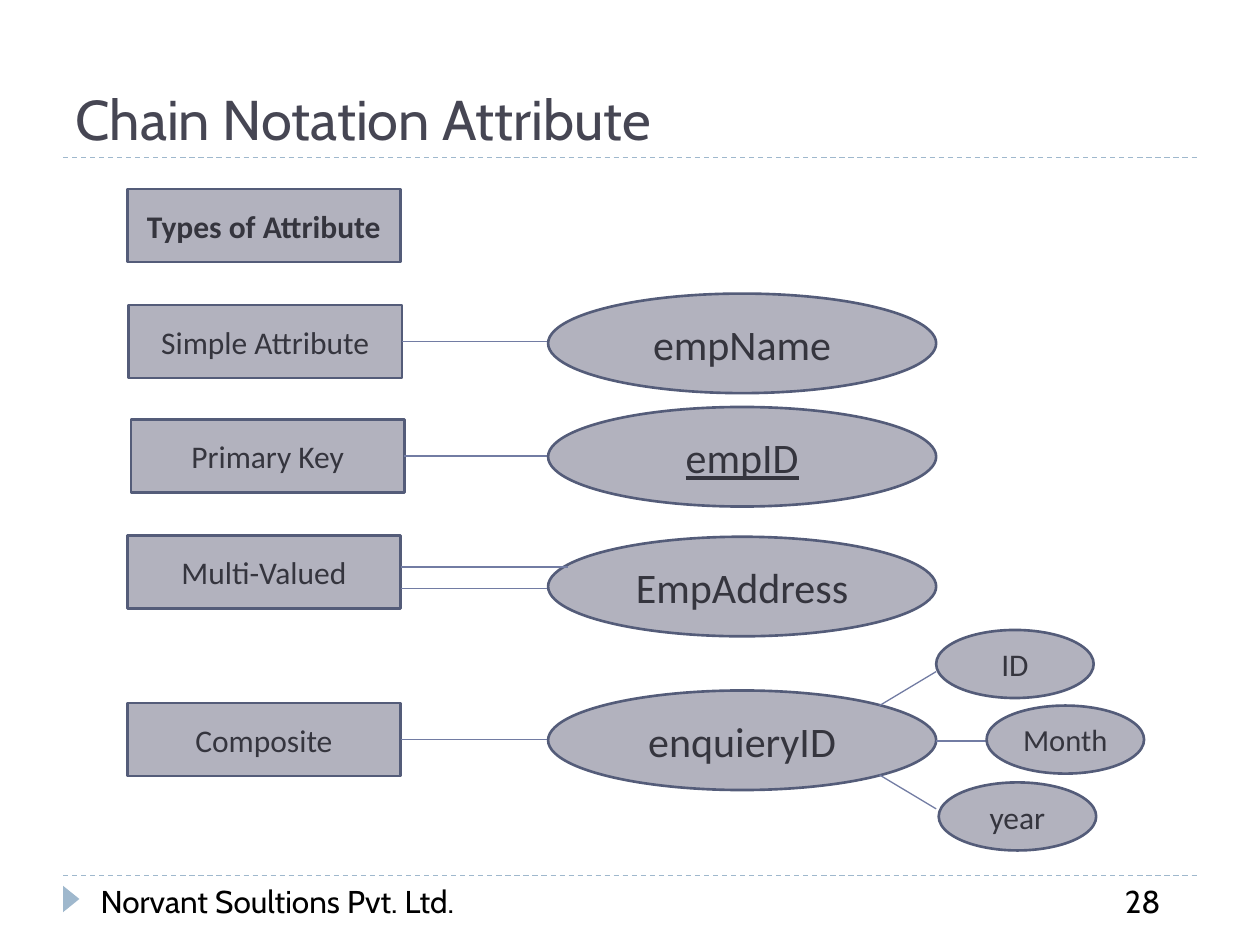
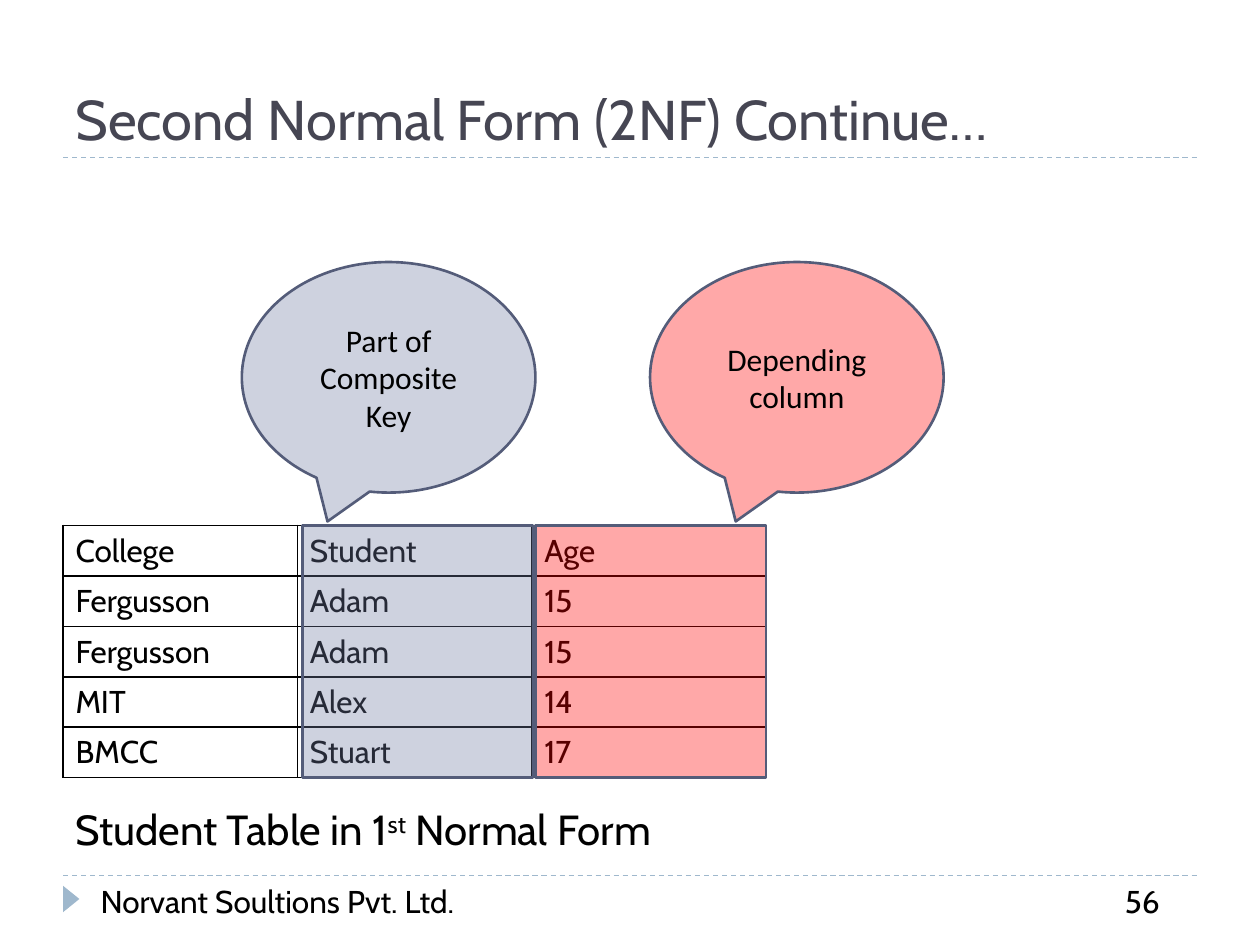
import lxml.etree
import pptx
import pptx.dml.color
import pptx.enum.dml
import pptx.enum.shapes
import pptx.enum.text
import pptx.oxml.ns
import pptx.util

SHAPE = pptx.enum.shapes.MSO_SHAPE
ANCHOR = pptx.enum.text.MSO_ANCHOR
CENTER = pptx.enum.text.PP_ALIGN.CENTER
RGB = pptx.dml.color.RGBColor.from_string
Pt = pptx.util.Pt
qn = pptx.oxml.ns.qn

COLORS = {
    "title": "464653", "black": "000000", "rule": "9FB8CD",
    "node": "B2B2BE", "outline": "545C79", "node text": "35353E",
    "link": "727CA3", "key": "727CA3", "dependent": "FF0000",
}
HEADING_FONT, BODY_FONT = "Cabin", "Calibri"

deck = pptx.Presentation()
deck.slide_width, deck.slide_height = pptx.util.Inches(10), pptx.util.Inches(7.5)
# Every place is given on a grid of 100 columns by 75 rows.
COL, ROW = deck.slide_width // 100, deck.slide_height // 75


def add_box(slide, kind, at, label="", size=18, font=BODY_FONT, ink="node text",
            fill="node", outline="outline", opacity=None):
    """Add a labelled preset shape, or a plain text box when kind is None."""
    left, top, width, height = at
    place = [int(v) for v in (left * COL, top * ROW, width * COL, height * ROW)]
    if kind is None:
        box = slide.shapes.add_textbox(*place)
        box.text_frame.word_wrap = True
    else:
        box = slide.shapes.add_shape(kind, *place)
        box.shadow.inherit = False
        box.fill.solid()
        box.fill.fore_color.rgb = RGB(COLORS[fill])
        if opacity:
            color = box.fill._xPr.find(qn("a:solidFill"))[0]
            lxml.etree.SubElement(color, qn("a:alpha")).set("val", str(opacity * 1000))
        if outline:
            box.line.color.rgb = RGB(COLORS[outline])
            box.line.width = Pt(1.5)
        else:
            box.line.fill.background()
        box.text_frame.vertical_anchor = ANCHOR.MIDDLE
    if label:
        box.text_frame.text = label
        paragraph = box.text_frame.paragraphs[0]
        if kind is not None:
            paragraph.alignment = CENTER
        for run in paragraph.runs:
            run.font.size, run.font.name = Pt(size), font
            run.font.color.rgb = RGB(COLORS[ink])
    return box


def add_line(slide, start, end, color="link", dashed=False):
    line = slide.shapes.add_connector(
        pptx.enum.shapes.MSO_CONNECTOR.STRAIGHT,
        int(start[0] * COL), int(start[1] * ROW), int(end[0] * COL), int(end[1] * ROW))
    line.line.color.rgb = RGB(COLORS[color])
    line.line.width = Pt(0.75)
    if dashed:
        line.line.dash_style = pptx.enum.dml.MSO_LINE.DASH
    lxml.etree.SubElement(line._element.spPr, qn("a:effectLst"))
    return line


# Frame shared by the slides
pages = []
for title, number in [("Chain Notation Attribute", "28"),
                      ("Second Normal Form (2NF) Continue…", "56")]:
    page = deck.slides.add_slide(deck.slide_layouts[6])
    for rule_row in (69.5, 12.5):
        add_line(page, (5, rule_row), (95, rule_row), "rule", dashed=True)
    marker = add_box(page, SHAPE.ISOSCELES_TRIANGLE, (4.6, 70.7, 2.1, 1.3),
                     fill="rule", outline=None)
    marker.rotation = 90
    heading = add_box(page, None, (5, 1.7, 90, 10.8), title, 32, HEADING_FONT, "title")
    heading.text_frame.vertical_anchor = ANCHOR.BOTTOM
    for at, footer in [((7, 69.5, 38, 4), "Norvant Soultions Pvt. Ltd."),
                       ((88.3, 69.5, 6.7, 4), number)]:
        add_box(page, None, at, footer, 18, HEADING_FONT, "black")
    pages.append(page)
chain, second_form = pages

# Attribute types, each linked to its example
TYPE_WIDTH, TYPE_HEIGHT = 21.7, 5.8
EXAMPLE_LEFT, EXAMPLE_WIDTH, EXAMPLE_HEIGHT = 43.5, 30.8, 7.9
EXAMPLE_RIGHT = EXAMPLE_LEFT + EXAMPLE_WIDTH

header = add_box(chain, SHAPE.RECTANGLE, (10.1, 15, TYPE_WIDTH, TYPE_HEIGHT),
                 "Types of Attribute")
header.text_frame.paragraphs[0].runs[0].font.bold = True

for kind_name, left, top, example, example_top in [
        ("Simple Attribute", 10.2, 24.2, "empName", 23.3),
        ("Primary Key", 10.4, 33.3, "empID", 32.3),
        ("Multi-Valued", 10.1, 42.5, "EmpAddress", 42.6),
        ("Composite", 10.1, 55.8, "enquieryID", 54.8)]:
    attribute = add_box(chain, SHAPE.RECTANGLE, (left, top, TYPE_WIDTH, TYPE_HEIGHT),
                        kind_name)
    middle = top + TYPE_HEIGHT / 2
    multi_valued = kind_name == "Multi-Valued"
    link_row = 46.7 if multi_valued else middle
    link = add_line(chain, (left + TYPE_WIDTH, link_row), (EXAMPLE_LEFT, link_row))
    if not multi_valued:
        link.begin_connect(attribute, 3)
    oval = add_box(chain, SHAPE.OVAL,
                   (EXAMPLE_LEFT, example_top, EXAMPLE_WIDTH, EXAMPLE_HEIGHT), example, 24)
    oval.text_frame.paragraphs[0].runs[0].font.underline = kind_name == "Primary Key"
    if multi_valued:
        add_line(chain, (left + TYPE_WIDTH, 45), (45.1, 45))

# Parts of the composite attribute
for part, left, top, size, start, end in [
        ("ID", 74.3, 50, 18, (69.8, 56), (EXAMPLE_RIGHT, 53.3)),
        ("Month", 78.3, 56, 17.5, (EXAMPLE_RIGHT, 58.8), (78.5, 58.8)),
        ("year", 74.5, 62.1, 18, (69.8, 61.5), (EXAMPLE_RIGHT, 64.2))]:
    add_line(chain, start, end)
    add_box(chain, SHAPE.OVAL, (left, top, 12.5, 5.4), part, size)

# Student table
students = [("College", "Student", "Age"),
            ("Fergusson", "Adam", "15"),
            ("Fergusson", "Adam", "15"),
            ("MIT", "Alex", "14"),
            ("BMCC", "Stuart", "17")]
TABLE_LEFT, TABLE_TOP, TABLE_WIDTH, TABLE_HEIGHT = 5, 41.7, 55.8, 20
roster = second_form.shapes.add_table(
    len(students), len(students[0]), int(TABLE_LEFT * COL), int(TABLE_TOP * ROW),
    int(TABLE_WIDTH * COL), int(TABLE_HEIGHT * ROW)).table
roster.first_row = roster.horz_banding = False
for r, record in enumerate(students):
    for c, value in enumerate(record):
        cell = roster.cell(r, c)
        cell.text = value
        cell.vertical_anchor = ANCHOR.MIDDLE
        font = cell.text_frame.paragraphs[0].runs[0].font
        font.size, font.name = Pt(18), HEADING_FONT
        font.color.rgb = RGB(COLORS["black"])
        properties = cell._tc.get_or_add_tcPr()
        for side in ("a:lnL", "a:lnR", "a:lnT", "a:lnB"):
            border = lxml.etree.SubElement(properties, qn(side), w=str(Pt(1)))
            solid = lxml.etree.SubElement(border, qn("a:solidFill"))
            lxml.etree.SubElement(solid, qn("a:srgbClr"), val=COLORS["black"])
        cell.fill.background()

caption = add_box(second_form, None, (5, 63.3, 48.9, 5)).text_frame
caption.word_wrap = False
for words, raised in [("Student Table in 1", False), ("st", True), (" Normal Form", False)]:
    run = caption.paragraphs[0].add_run()
    run.text = words
    run.font.size, run.font.name = Pt(24), HEADING_FONT
    run.font.color.rgb = RGB(COLORS["black"])
    if raised:
        run.font._element.set("baseline", "30000")

# Highlighted columns, then the callouts that explain them
for left, role in [(24, "key"), (42.5, "dependent")]:
    add_box(second_form, SHAPE.RECTANGLE, (left, TABLE_TOP, 18.3, TABLE_HEIGHT),
            fill=role, opacity=34)
for left, role, meaning in [(19.2, "key", "Part of Composite Key"),
                            (51.6, "dependent", "Depending column")]:
    add_box(second_form, SHAPE.OVAL_CALLOUT, (left, 20.8, 23.3, 18.3), meaning,
            ink="black", fill=role, opacity=34)

deck.save("out.pptx")
